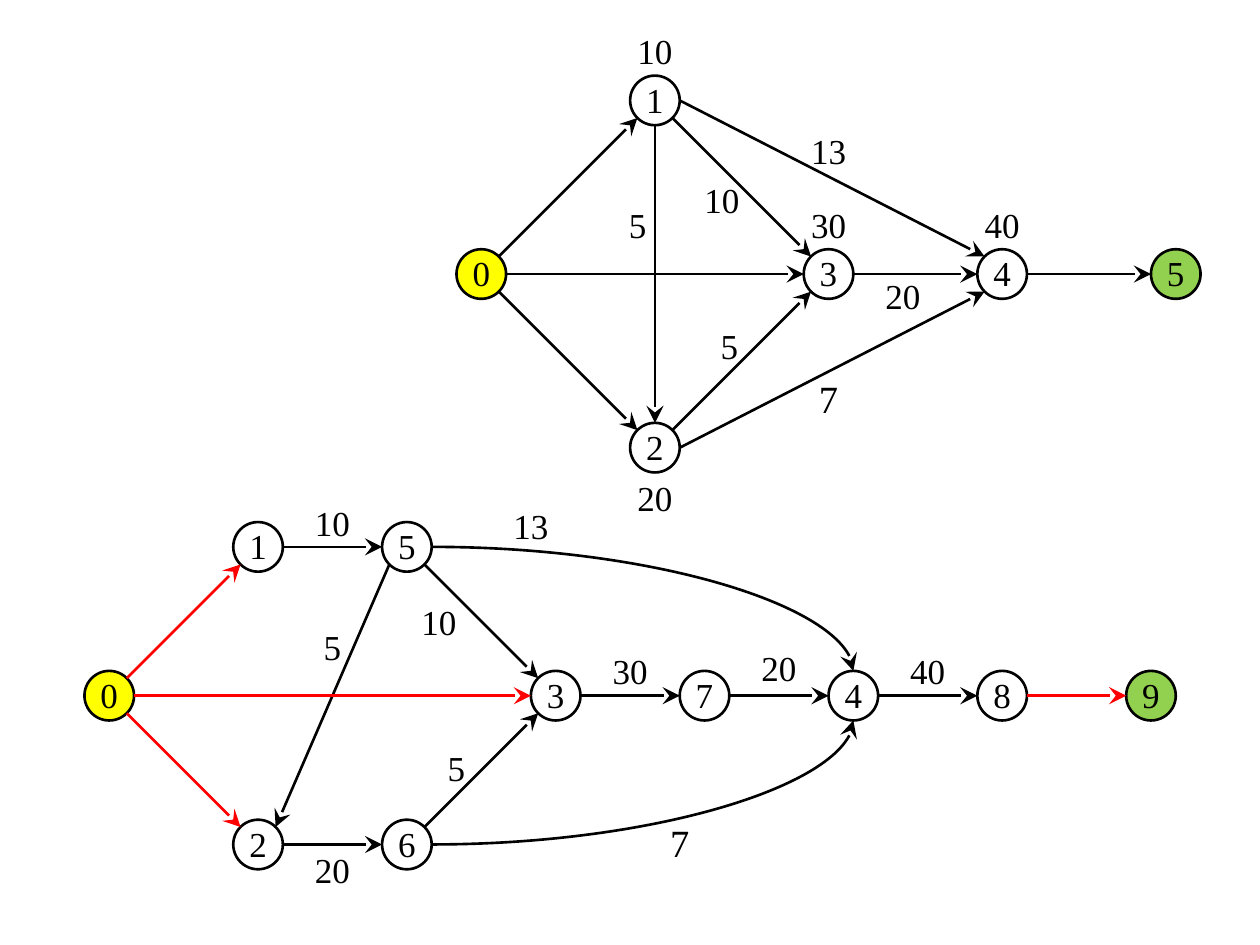
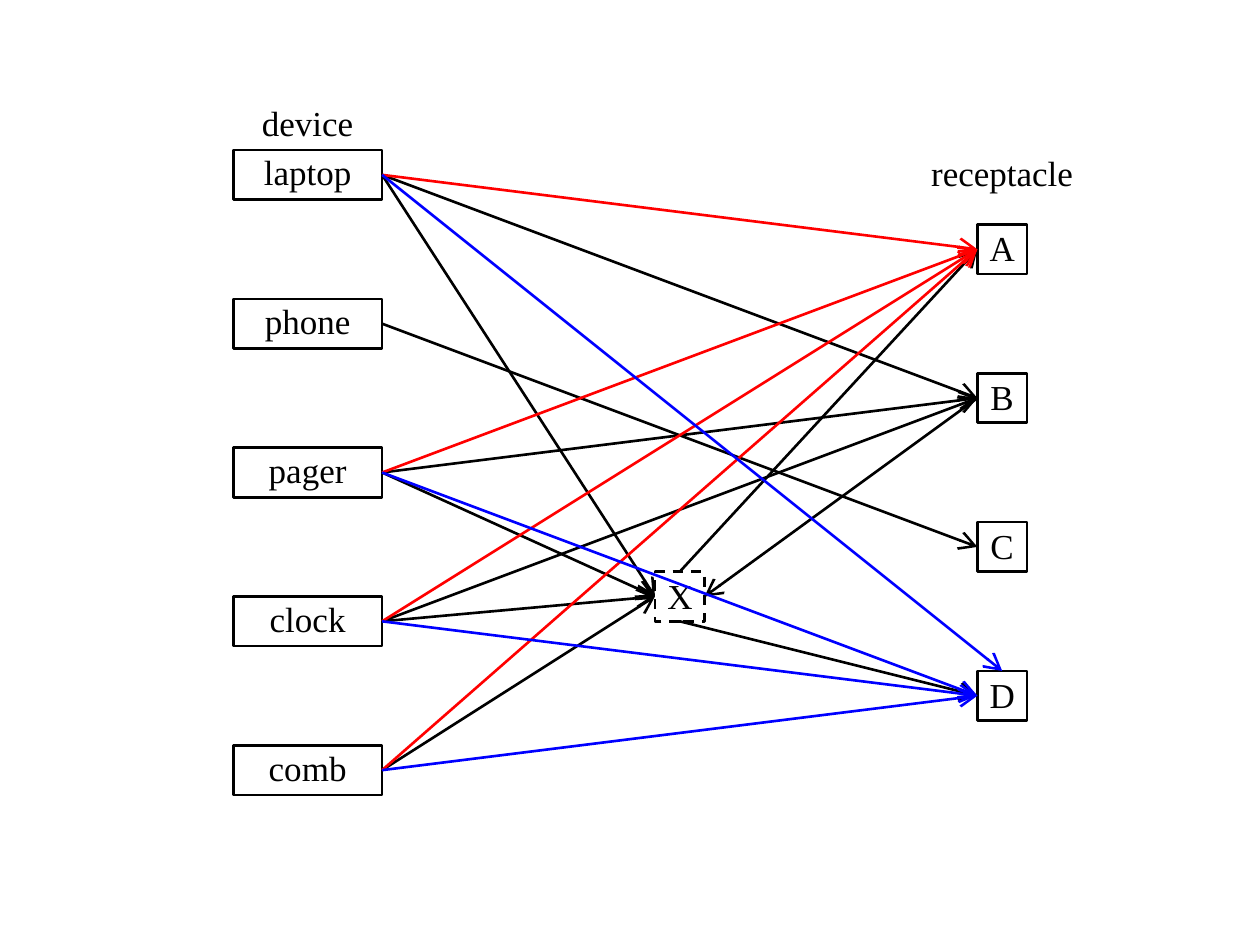
from dataclasses import dataclass
from enum import Enum
from math import copysign, hypot
from typing import NamedTuple

from lxml.etree import SubElement
from pptx import Presentation
from pptx.dml.color import RGBColor
from pptx.enum.dml import MSO_LINE
from pptx.enum.shapes import MSO_CONNECTOR, MSO_SHAPE
from pptx.enum.text import MSO_ANCHOR, PP_ALIGN
from pptx.oxml.ns import qn
from pptx.shapes.autoshape import Shape
from pptx.shapes.connector import Connector
from pptx.slide import Slide
from pptx.util import Inches, Length, Pt


@dataclass(frozen=True)
class Theme:
    ink: RGBColor = RGBColor(0, 0, 0)
    paper: RGBColor = RGBColor(255, 255, 255)
    red: RGBColor = RGBColor(255, 0, 0)
    blue: RGBColor = RGBColor(0, 0, 255)
    start: RGBColor = RGBColor(255, 255, 0)
    goal: RGBColor = RGBColor(0x92, 0xD0, 0x50)
    font: str = "Times New Roman"
    size: int = 20
    large: int = 22
    stroke: float = 1.5


THEME = Theme()
CELL = 0.5 / 2.54  # both slides sit on a half-centimetre grid
LEFT, TOP = 0.08, 0.01


class Pad(NamedTuple):
    left: float = 0
    top: float = 0
    right: float = 0
    bottom: float = 0


class Frame(NamedTuple):
    """Left, top, width and height in grid cells."""
    col: float
    row: float
    wide: float = 2
    high: float = 2


class Spot(NamedTuple):
    """A centre in grid cells."""
    col: float
    row: float


class Route(Enum):
    DIRECT = 1
    SIDE = 2
    CURVE = 3


@dataclass(frozen=True)
class Label:
    text: str
    spot: Spot
    pad: Pad = Pad()
    anchor: MSO_ANCHOR = MSO_ANCHOR.MIDDLE
    align: PP_ALIGN = PP_ALIGN.CENTER
    size: int = THEME.size


@dataclass(frozen=True)
class Edge:
    tail: str
    head: str
    color: RGBColor = THEME.ink
    route: Route = Route.DIRECT


@dataclass(frozen=True)
class Graph:
    """Nodes run from the start node to the goal node."""
    nodes: dict[str, Spot]
    edges: list[Edge]
    labels: list[Label]


@dataclass(frozen=True)
class Link:
    tail: str
    out: int
    head: str
    into: int
    color: RGBColor = THEME.ink


def place(frame: Frame) -> tuple[Length, ...]:
    return (Inches(LEFT + frame.col * CELL), Inches(TOP + frame.row * CELL),
            Inches(frame.wide * CELL), Inches(frame.high * CELL))


def around(spot: Spot) -> Frame:
    return Frame(spot.col - 1, spot.row - 1)


def write(shape: Shape, text: str, pad: Pad, wrap: bool = True,
          anchor: MSO_ANCHOR = MSO_ANCHOR.MIDDLE,
          align: PP_ALIGN = PP_ALIGN.CENTER,
          size: int = THEME.size) -> None:
    frame = shape.text_frame
    frame.word_wrap = wrap
    frame.vertical_anchor = anchor
    frame.margin_left, frame.margin_top = Inches(pad.left), Inches(pad.top)
    frame.margin_right, frame.margin_bottom = Inches(pad.right), Inches(pad.bottom)
    para = frame.paragraphs[0]
    para.alignment = align
    run = para.add_run()
    run.text = text
    run.font.name, run.font.size = THEME.font, Pt(size)
    run.font.color.rgb = THEME.ink


def add_node(slide: Slide, kind: MSO_SHAPE, frame: Frame, text: str,
             pad: Pad, fill: RGBColor = THEME.paper) -> Shape:
    shape = slide.shapes.add_shape(kind, *place(frame))
    shape.shadow.inherit = False
    shape.fill.solid()
    shape.fill.fore_color.rgb = fill
    shape.line.color.rgb = THEME.ink
    shape.line.width = Pt(THEME.stroke)
    write(shape, text, pad)
    return shape


def add_label(slide: Slide, label: Label) -> None:
    box = slide.shapes.add_textbox(*place(around(label.spot)))
    write(box, label.text, label.pad, False, label.anchor, label.align, label.size)


def style(line: Connector, color: RGBColor, tip: str) -> None:
    line.line.color.rgb = color
    line.line.width = Pt(THEME.stroke)
    props = line.element.spPr
    SubElement(props.find(qn("a:ln")), qn("a:tailEnd"), type=tip, w="lg", len="lg")
    SubElement(props, qn("a:effectLst"))


def sign(value: float) -> float:
    return copysign(1, value) if value else 0


def rim(spot: Spot, across: float, down: float) -> Spot:
    """Point of the node's circle that lies in the given direction."""
    reach = hypot(across, down)
    return Spot(spot.col + across / reach, spot.row + down / reach)


def add_edge(slide: Slide, edge: Edge, nodes: dict[str, Spot]) -> None:
    tail, head = nodes[edge.tail], nodes[edge.head]
    across, down = sign(head.col - tail.col), sign(head.row - tail.row)
    curve = edge.route is Route.CURVE
    begin = rim(tail, across, down if edge.route is Route.DIRECT else 0)
    end = rim(head, 0 if curve else -across, -down)
    kind = MSO_CONNECTOR.CURVE if curve else MSO_CONNECTOR.STRAIGHT
    line = slide.shapes.add_connector(
        kind, *place(Frame(*begin))[:2], *place(Frame(*end))[:2])
    if curve:
        line.element.spPr.find(qn("a:prstGeom")).set("prst", "curvedConnector2")
    style(line, edge.color, "stealth")


def add_graph(slide: Slide, graph: Graph) -> None:
    names = list(graph.nodes)
    fills = {names[0]: THEME.start, names[-1]: THEME.goal}
    for label in graph.labels:
        add_label(slide, label)
    for name, spot in graph.nodes.items():
        add_node(slide, MSO_SHAPE.OVAL, around(spot), name,
                 Pad(bottom=0.02), fills.get(name, THEME.paper))
    for edge in graph.edges:
        add_edge(slide, edge, graph.nodes)


LOW = Pad(bottom=0.04)

UPPER = Graph(
    nodes={"0": Spot(19, 11), "1": Spot(26, 4), "2": Spot(26, 18),
           "3": Spot(33, 11), "4": Spot(40, 11), "5": Spot(47, 11)},
    edges=[Edge("0", "1"), Edge("0", "2"), Edge("0", "3"), Edge("1", "2"),
           Edge("1", "3"), Edge("2", "3"), Edge("3", "4"), Edge("4", "5"),
           Edge("1", "4", route=Route.SIDE), Edge("2", "4", route=Route.SIDE)],
    labels=[
        Label("10", Spot(26, 2)), Label("20", Spot(26, 20)),
        Label("30", Spot(33, 9)), Label("40", Spot(40, 9)),
        Label("13", Spot(33, 6)), Label("7", Spot(33, 16), size=THEME.large),
        Label("5", Spot(25, 9), Pad(left=0.12)), Label("5", Spot(29, 14), LOW),
        Label("10", Spot(28.7, 8)),
        Label("20", Spot(36, 12), anchor=MSO_ANCHOR.TOP)])

LOWER = Graph(
    nodes={"0": Spot(4, 28), "1": Spot(10, 22), "2": Spot(10, 34),
           "5": Spot(16, 22), "6": Spot(16, 34), "3": Spot(22, 28),
           "7": Spot(28, 28), "4": Spot(34, 28), "8": Spot(40, 28),
           "9": Spot(46, 28)},
    edges=[Edge("1", "5"), Edge("2", "6"), Edge("5", "2"), Edge("5", "3"),
           Edge("6", "3"), Edge("3", "7"), Edge("7", "4"), Edge("4", "8"),
           Edge("5", "4", route=Route.CURVE), Edge("6", "4", route=Route.CURVE),
           Edge("0", "1", THEME.red), Edge("0", "2", THEME.red),
           Edge("0", "3", THEME.red), Edge("8", "9", THEME.red)],
    labels=[
        Label("10", Spot(13, 21)), Label("20", Spot(13, 35)),
        Label("30", Spot(25, 27)), Label("40", Spot(37, 27)),
        Label("13", Spot(21, 21), anchor=MSO_ANCHOR.BOTTOM),
        Label("7", Spot(27, 34), LOW, size=THEME.large),
        Label("5", Spot(13, 26)), Label("5", Spot(18, 31), LOW),
        Label("10", Spot(17, 25), align=PP_ALIGN.RIGHT),
        Label("20", Spot(31, 27), anchor=MSO_ANCHOR.TOP)])

NORTH, WEST, SOUTH, EAST = range(4)
DEVICES = ["laptop", "phone", "pager", "clock", "comb"]
SHARED = [name for name in DEVICES if name != "phone"]

LINKS = [
    Link("X", SOUTH, "D", WEST), Link("X", NORTH, "A", WEST),
    Link("B", WEST, "X", EAST), Link("phone", EAST, "C", WEST),
    *(Link(name, EAST, "B", WEST) for name in ("laptop", "pager", "clock")),
    *(Link(name, EAST, "X", WEST) for name in SHARED),
    *(Link(name, EAST, "A", WEST, THEME.red) for name in SHARED),
    *(Link(name, EAST, "D", NORTH if name == "laptop" else WEST, THEME.blue)
      for name in SHARED)]


def add_match(slide: Slide) -> None:
    """Devices on the left, receptacles on the right, links between."""
    boxes: dict[str, Shape] = {}

    def add_box(name: str, frame: Frame, foot: float) -> None:
        boxes[name] = add_node(slide, MSO_SHAPE.RECTANGLE, frame, name,
                               Pad(0.1, 0, 0.1, foot))

    for step, name in enumerate(DEVICES):
        add_box(name, Frame(9, 6 + 6 * step, 6), 0.05)
    for step, name in enumerate("ABCD"):
        add_box(name, Frame(39, 9 + 6 * step), 0.02)
    add_box("X", Frame(26, 23), 0.02)
    boxes["X"].line.dash_style = MSO_LINE.DASH

    for text, frame in (("device", Frame(9, 4, 6)), ("receptacle", Frame(37, 6, 6))):
        write(slide.shapes.add_textbox(*place(frame)), text, LOW, False)

    for link in LINKS:
        line = slide.shapes.add_connector(MSO_CONNECTOR.STRAIGHT, 0, 0, 0, 0)
        line.begin_connect(boxes[link.tail], link.out)
        line.end_connect(boxes[link.head], link.into)
        style(line, link.color, "arrow")


def main() -> None:
    deck = Presentation()
    deck.slide_width, deck.slide_height = Inches(10), Inches(7.5)
    blank = deck.slide_layouts[6]
    graphs = deck.slides.add_slide(blank)
    add_graph(graphs, UPPER)
    add_graph(graphs, LOWER)
    add_match(deck.slides.add_slide(blank))
    deck.save("out.pptx")


if __name__ == "__main__":
    main()
